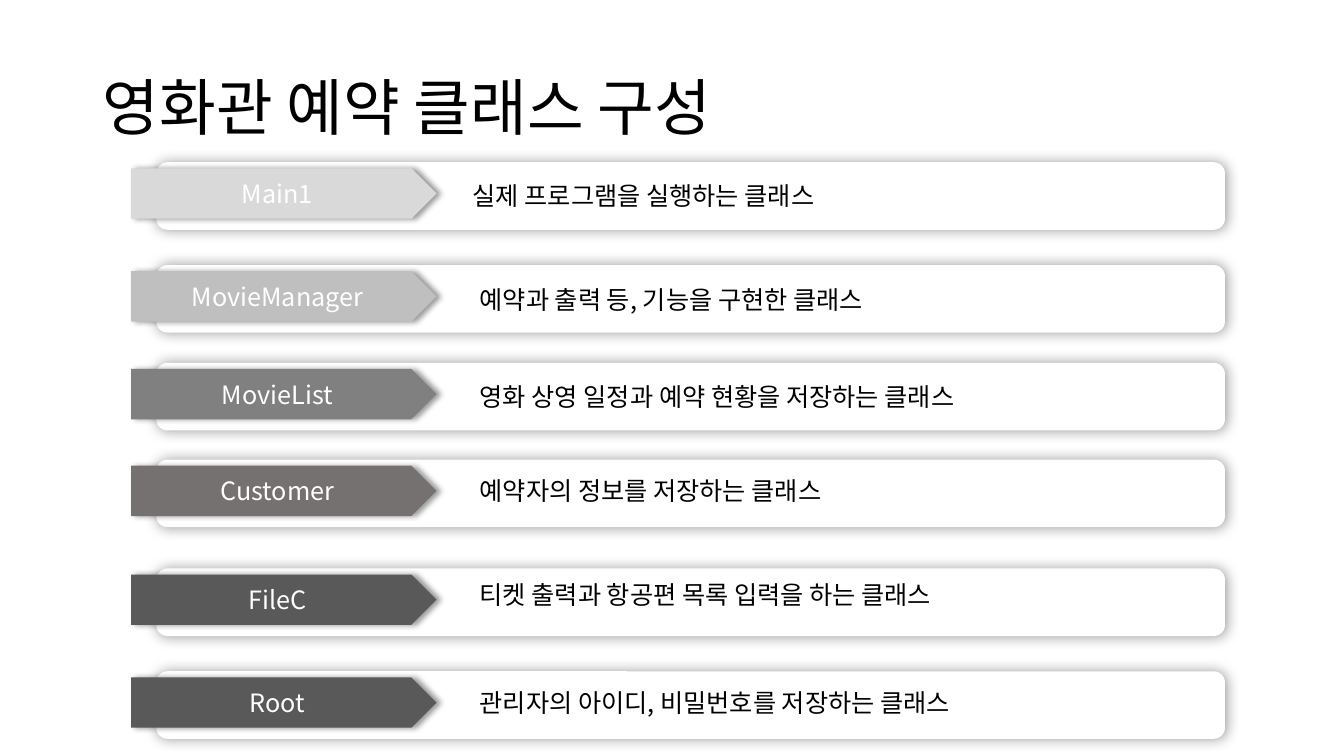
from lxml.etree import SubElement
from pptx import Presentation
from pptx.dml.color import RGBColor
from pptx.enum.shapes import MSO_SHAPE
from pptx.enum.text import MSO_ANCHOR, MSO_AUTO_SIZE, PP_ALIGN
from pptx.oxml.ns import qn
from pptx.util import Inches, Pt


def color(code):
    return RGBColor.from_string(code)


class Deck:
    """Holds the text style and the current slide."""

    face = "Noto Sans CJK KR"

    def __init__(self, slide):
        self.slide = slide

    def label(self, item, text, size, ink, frame, para):
        body = item.text_frame
        line = body.paragraphs[0]
        run = line.add_run()
        run.text = text
        run.font.color.rgb = color(ink)
        font = {"name": self.face, "size": Pt(size)}
        for part, form in ((body, frame), (line, para), (run.font, font)):
            for key, value in form.items():
                setattr(part, key, value)
        SubElement(run.font._element, qn("a:ea"), typeface=self.face)

    def text(self, words, box, size=18, para={}, **frame):
        item = self.slide.shapes.add_textbox(*map(Inches, box))
        self.label(item, words, size, "000000", {"word_wrap": True, **frame}, para)

    def shape(self, kind, box, fill, blur, dist):
        item = self.slide.shapes.add_shape(kind, *map(Inches, box))
        item.fill.solid()
        item.fill.fore_color.rgb = color(fill)
        item.line.fill.background()
        item.shadow.inherit = False
        glow = SubElement(
            item.element.spPr.find(qn("a:effectLst")), qn("a:outerShdw"),
            blurRad=str(Pt(blur)), dist=str(Pt(dist)), dir="0",
            algn="ctr", rotWithShape="0")
        shade = SubElement(glow, qn("a:srgbClr"), val="000000")
        SubElement(shade, qn("a:alpha"), val="40000")
        return item

    def row(self, top, name, fill, note, left, note_top, width):
        self.shape(MSO_SHAPE.ROUNDED_RECTANGLE, (1.55, top, 10.6, 0.67), "FFFFFF", 10, 0)
        tag = self.shape(MSO_SHAPE.PENTAGON, (1.3, top + 0.06, 3.03, 0.5), fill, 4, 3)
        self.label(tag, name, 18, "FFFFFF", {"vertical_anchor": MSO_ANCHOR.MIDDLE},
                   {"alignment": PP_ALIGN.CENTER})
        self.text(note, (left, note_top, width, 0.4),
                  auto_size=MSO_AUTO_SIZE.SHAPE_TO_FIT_TEXT)


ROWS = [
    (1.61, "Main1", "D9D9D9", "실제 프로그램을 실행하는 클래스", 4.59, 1.74, 4.05),
    (2.63, "MovieManager", "BFBFBF", "예약과 출력 등, 기능을 구현한 클래스", 4.66, 2.77, 4.84),
    (3.6, "MovieList", "808080", "영화 상영 일정과 예약 현황을 저장하는 클래스", 4.66, 3.73, 6.19),
    (4.56, "Customer", "767171", "예약자의 정보를 저장하는 클래스", 4.66, 4.67, 4.84),
    (5.64, "FileC", "595959", "티켓 출력과 항공편 목록 입력을 하는 클래스", 4.66, 5.7, 7.33),
    (6.66, "Root", "595959", "관리자의 아이디, 비밀번호를 저장하는 클래스", 4.66, 6.77, 7.33),
]


def main():
    show = Presentation()
    show.slide_width, show.slide_height = Inches(13.33), Inches(7.5)
    deck = Deck(show.slides.add_slide(show.slide_layouts[6]))
    deck.text("영화관 예약 클래스 구성", (0.92, 0.37, 11.5, 1.45), 44,
              {"line_spacing": 0.9}, vertical_anchor=MSO_ANCHOR.MIDDLE)
    for row in ROWS:
        deck.row(*row)
    show.save("out.pptx")


if __name__ == "__main__":
    main()
